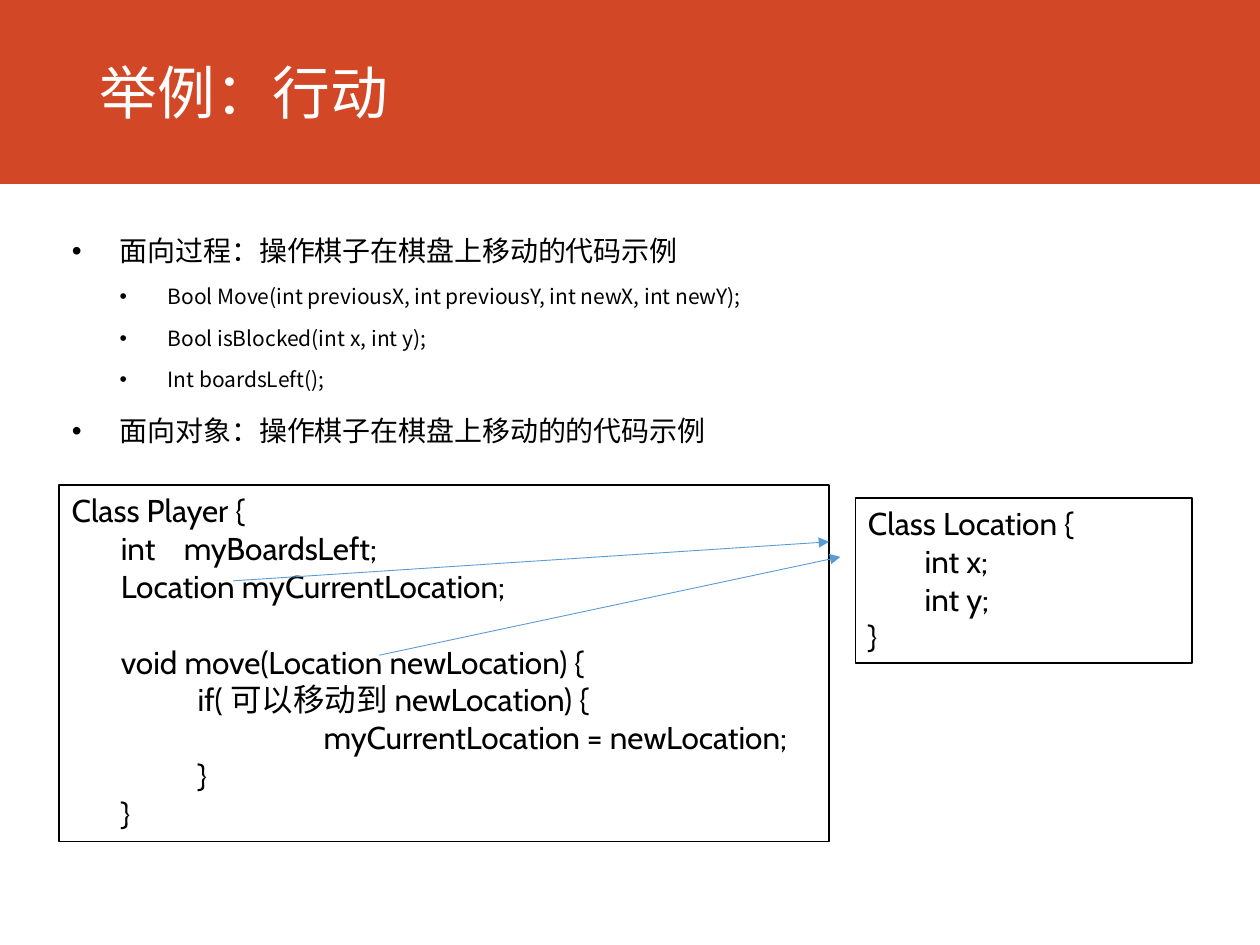
from lxml.etree import SubElement
from pptx import Presentation
from pptx.dml.color import RGBColor
from pptx.enum.shapes import MSO_CONNECTOR, MSO_SHAPE
from pptx.enum.text import MSO_ANCHOR, MSO_AUTO_SIZE, PP_ALIGN
from pptx.oxml.ns import qn
from pptx.util import Inches, Pt

ORANGE = RGBColor(0xD2, 0x47, 0x26)
BLUE = RGBColor(0x5B, 0x9B, 0xD5)
BLACK = RGBColor(0, 0, 0)
WHITE = RGBColor(0xFF, 0xFF, 0xFF)
CJK, LATIN = "Noto Sans CJK SC", "Cabin"

TITLE = "举例：行动"
BULLETS = [  # level, text
    (0, "面向过程：操作棋子在棋盘上移动的代码示例"),
    (1, "Bool Move(int previousX, int previousY, int newX, int newY);"),
    (1, "Bool isBlocked(int x, int y);"),
    (1, "Int boardsLeft();"),
    (0, "面向对象：操作棋子在棋盘上移动的的代码示例"),
]
BULLET_SIZES = [16, 12]
BULLET_INDENT = 0.38
CODE_SIZE, CODE_LINE = 18, 21.7
FIELD_TAB = 1.29

# Each code line: indent level, blank lines above, text
CLASSES = [
    {"box": (0.47, 3.85, 6.11, 2.83), "indents": (0, 0.39, 1, 2), "lines": [
        (0, 0, "Class Player {"),
        (1, 0, "int\tmyBoardsLeft;"),
        (1, 0, "Location myCurrentLocation;"),
        (1, 1, "void move(Location newLocation) {"),
        (2, 0, "if( 可以移动到 newLocation) {"),
        (3, 0, "myCurrentLocation = newLocation;"),
        (2, 0, "}"),
        (1, 0, "}"),
    ]},
    {"box": (6.79, 3.95, 2.67, 1.31), "indents": (0, 0.45), "lines": [
        (0, 0, "Class Location {"),
        (1, 0, "int x;"),
        (1, 0, "int y;"),
        (0, 0, "}"),
    ]},
]
ARROWS = [(1.85, 4.61, 6.58, 4.3), (3.01, 5.2, 6.67, 4.42)]


def inches(values):
    return [Inches(v) for v in values]


def place(sp, box):
    sp.left, sp.top, sp.width, sp.height = inches(box)


def format_text(p, size, font, color):
    for r in p.runs:
        r.font.size = Pt(size)
        r.font.name = font
        r.font.color.rgb = color
        SubElement(r.font._element, qn("a:ea"), typeface=CJK)


def set_indent(p, left, first=0):
    pPr = p._p.get_or_add_pPr()
    pPr.set("marL", str(Inches(left)))
    pPr.set("indent", str(Inches(first)))
    return pPr


def add_rect(slide, box, fill):
    sp = slide.shapes.add_shape(MSO_SHAPE.RECTANGLE, *inches(box))
    sp.shadow.inherit = False
    sp.fill.solid()
    sp.fill.fore_color.rgb = fill
    sp.line.fill.background()
    return sp


def fill_title(title):
    place(title, (0.69, 0, 8.62, 1.45))
    tf = title.text_frame
    tf.text = TITLE
    tf.vertical_anchor = MSO_ANCHOR.MIDDLE
    tf.auto_size = MSO_AUTO_SIZE.NONE
    p = tf.paragraphs[0]
    p.alignment = PP_ALIGN.LEFT
    format_text(p, 33, CJK, WHITE)


def fill_body(body):
    place(body, (0.47, 1.7, 9.23, 5.52))
    tf = body.text_frame
    tf.text = "\n".join(text for _, text in BULLETS)
    tf.auto_size = MSO_AUTO_SIZE.NONE
    for p, (level, _) in zip(tf.paragraphs, BULLETS):
        p.level = level
        p.line_spacing = 1.4
        pPr = set_indent(p, BULLET_INDENT * (level + 1), -BULLET_INDENT)
        before = SubElement(pPr, qn("a:spcBef"))
        SubElement(before, qn("a:spcPct"), val="30000")
        SubElement(pPr, qn("a:buFont"), typeface="Arial")
        SubElement(pPr, qn("a:buChar"), char="•")
        format_text(p, BULLET_SIZES[level], CJK, BLACK)


def add_class(slide, box, indents, lines):
    sp = add_rect(slide, box, WHITE)
    sp.line.color.rgb = BLACK
    sp.line.width = Pt(1)
    tf = sp.text_frame
    tf.word_wrap = True
    tf.vertical_anchor = MSO_ANCHOR.TOP
    tf.text = "\n".join(text for _, _, text in lines)
    for p, (level, blanks, text) in zip(tf.paragraphs, lines):
        p.alignment = PP_ALIGN.LEFT
        p.space_before = Pt(blanks * CODE_LINE)
        pPr = set_indent(p, indents[level])
        if "\t" in text:
            tabs = SubElement(pPr, qn("a:tabLst"))
            SubElement(tabs, qn("a:tab"), pos=str(Inches(FIELD_TAB)), algn="l")
        format_text(p, CODE_SIZE, LATIN, BLACK)


def add_arrow(slide, ends):
    line = slide.shapes.add_connector(MSO_CONNECTOR.STRAIGHT, *inches(ends))
    line.line.color.rgb = BLUE
    line.line.width = Pt(0.5)
    SubElement(line.line._get_or_add_ln(), qn("a:tailEnd"), type="triangle")
    SubElement(line._element.spPr, qn("a:effectLst"))


def main():
    prs = Presentation()
    prs.slide_width, prs.slide_height = inches((10, 7.5))
    slide = prs.slides.add_slide(prs.slide_layouts[1])
    band = add_rect(slide, (0, 0, 10, 1.46), ORANGE)
    slide.shapes._spTree.insert(2, band._element)  # behind the title
    fill_title(slide.shapes.title)
    fill_body(slide.placeholders[1])
    for item in CLASSES:
        add_class(slide, **item)
    for ends in ARROWS:
        add_arrow(slide, ends)
    prs.save("out.pptx")


if __name__ == "__main__":
    main()
